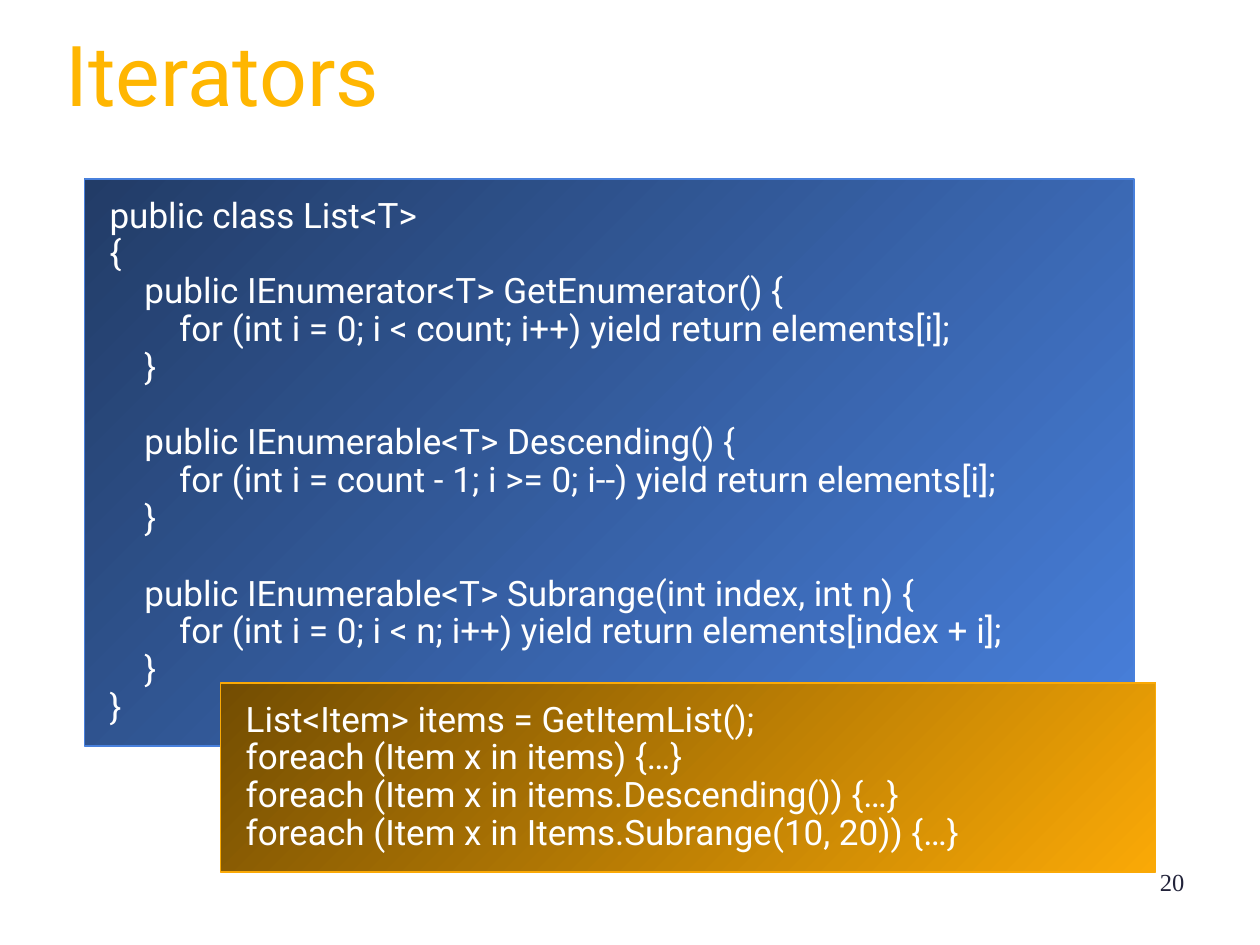
from lxml import etree
from pptx import Presentation
from pptx.dml.color import RGBColor
from pptx.enum import shapes, text
from pptx.oxml import ns
from pptx.util import Inches, Pt

WHITE = RGBColor(0xFF, 0xFF, 0xFF)
BLUE = RGBColor(0x48, 0x80, 0xDC)
NAVY = RGBColor(0x22, 0x3C, 0x67)
AMBER = RGBColor(0xFA, 0xA9, 0x06)
BROWN = RGBColor(0x73, 0x4D, 0x02)
GOLD = RGBColor(0xFF, 0xB6, 0x01)
INK = RGBColor(0x22, 0x23, 0x3A)

CLASS_CODE = """public class List<T>
{
    public IEnumerator<T> GetEnumerator() {
        for (int i = 0; i < count; i++) yield return elements[i];
    }

    public IEnumerable<T> Descending() {
        for (int i = count - 1; i >= 0; i--) yield return elements[i];
    }

    public IEnumerable<T> Subrange(int index, int n) {
        for (int i = 0; i < n; i++) yield return elements[index + i];
    }
}"""

USAGE_CODE = """List<Item> items = GetItemList();
foreach (Item x in items) {…}
foreach (Item x in items.Descending()) {…}
foreach (Item x in Items.Subrange(10, 20)) {…}"""


def set_attrs(obj, values):
    for name, value in values.items():
        setattr(obj, name, value)


def place(sp, box):
    names = ("left", "top", "width", "height")
    set_attrs(sp, dict(zip(names, map(Inches, box))))


def set_frame(tf, x, y, auto_size):
    set_attrs(tf, {
        "word_wrap": True, "auto_size": auto_size,
        "vertical_anchor": text.MSO_ANCHOR.TOP,
        "margin_left": Inches(x), "margin_right": Inches(x),
        "margin_top": Inches(y), "margin_bottom": Inches(y),
    })


def write_line(p, line, size, font, color, align, spacing):
    set_attrs(p, {"alignment": align, "line_spacing": spacing,
                  "space_before": Pt(0), "space_after": Pt(0)})
    if not line:
        end = etree.SubElement(p._p, ns.qn("a:endParaRPr"), sz=str(size * 100))
        etree.SubElement(end, ns.qn("a:latin"), typeface=font)
        return None
    r = p.add_run()
    r.text = line
    set_attrs(r.font, {"size": Pt(size), "name": font, "bold": False})
    r.font.color.rgb = color
    return r


def add_text_shadow(r):
    effects = etree.Element(ns.qn("a:effectLst"))
    shadow = etree.SubElement(effects, ns.qn("a:outerShdw"),
                              dist="35921", dir="2700000", algn="ctr")
    etree.SubElement(shadow, ns.qn("a:srgbClr"), val="000000")
    r.font._element.find(ns.qn("a:solidFill")).addnext(effects)


def add_title(s, title):
    sp = s.shapes.title
    place(sp, (0.42, 0.25, 9.18, 0.78))
    set_frame(sp.text_frame, 0.1, 0.05, text.MSO_AUTO_SIZE.SHAPE_TO_FIT_TEXT)
    r = write_line(sp.text_frame.paragraphs[0], title, 48, "Roboto", GOLD,
                   text.PP_ALIGN.LEFT, 0.85)
    add_text_shadow(r)


def add_code_panel(s, box, code, light, dark):
    sp = s.shapes.add_shape(shapes.MSO_SHAPE.RECTANGLE, *map(Inches, box))
    sp.shadow.inherit = False
    sp.fill.gradient()
    sp.fill.gradient_angle = 135
    for stop, color in zip(sp.fill.gradient_stops, (light, dark)):
        stop.color.rgb = color
    sp.line.color.rgb = light
    sp.line.width = Pt(1)
    tf = sp.text_frame
    set_frame(tf, 0.2, 0.15, text.MSO_AUTO_SIZE.SHAPE_TO_FIT_TEXT)
    for i, line in enumerate(code.splitlines()):
        p = tf.add_paragraph() if i else tf.paragraphs[0]
        write_line(p, line, 20, "Roboto", WHITE, text.PP_ALIGN.LEFT, 0.9)


def add_page_number(s, number):
    sp = s.shapes.add_textbox(*map(Inches, (7.17, 6.83, 2.33, 0.52)))
    set_frame(sp.text_frame, 0.1, 0.05, text.MSO_AUTO_SIZE.NONE)
    write_line(sp.text_frame.paragraphs[0], number, 14, "Times New Roman", INK,
               text.PP_ALIGN.RIGHT, 1.0)


def main():
    prs = Presentation()
    set_attrs(prs, {"slide_width": Inches(10), "slide_height": Inches(7.5)})
    s = prs.slides.add_slide(prs.slide_layouts[5])
    add_title(s, "Iterators")
    add_code_panel(s, (0.67, 1.42, 8.33, 4.5), CLASS_CODE, BLUE, NAVY)
    add_code_panel(s, (1.75, 5.42, 7.42, 1.5), USAGE_CODE, AMBER, BROWN)
    add_page_number(s, "20")
    prs.save("out.pptx")


if __name__ == "__main__":
    main()
